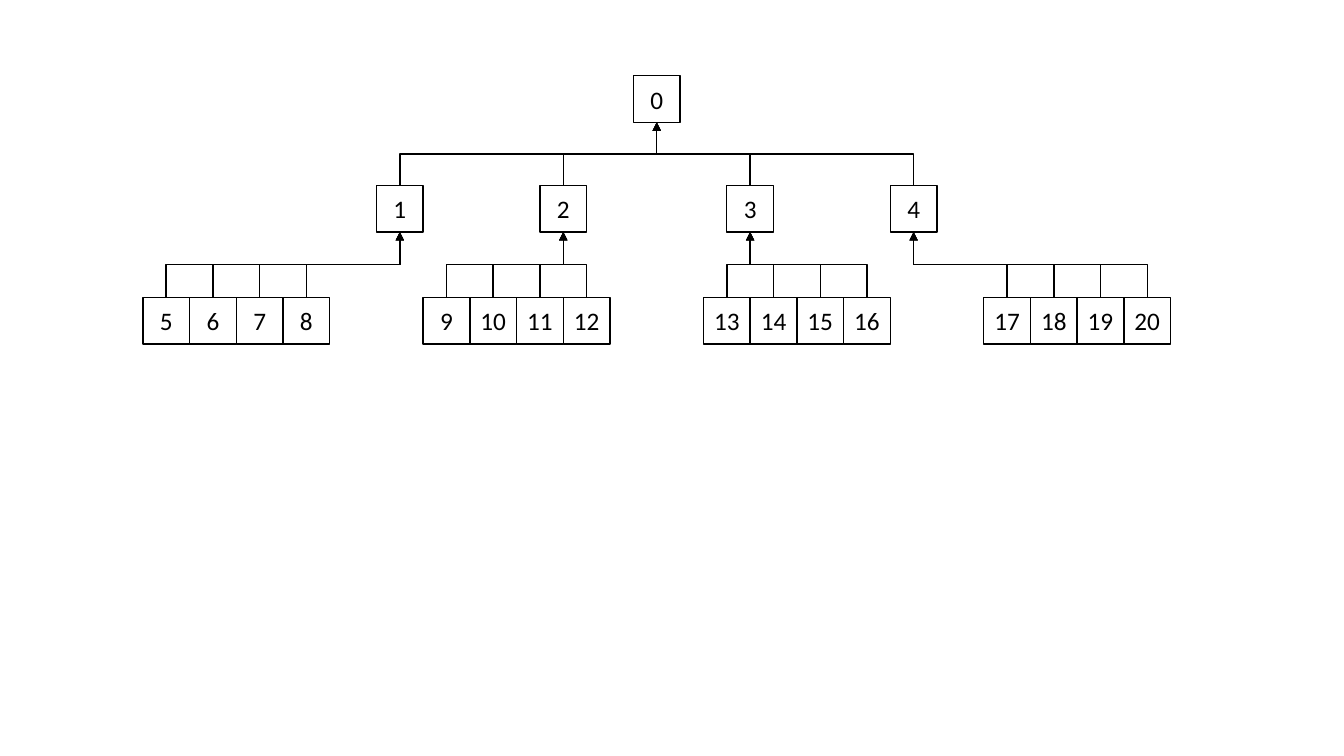
from pptx import Presentation
from pptx.dml.color import RGBColor
from pptx.enum.shapes import MSO_CONNECTOR, MSO_SHAPE
from pptx.enum.text import MSO_ANCHOR, PP_ALIGN
from pptx.oxml.ns import qn
from pptx.util import Cm, Pt
from lxml import etree

COLOURS = {"ink": "000000", "paper": "FFFFFF"}
ROOT_COLUMN = 10.5
BRANCH_COLUMNS = [5, 8.5, 12.5, 16]
LEAVES_PER_BRANCH = 4
GROUP_STEP = 6
COLUMNS = 22
TOP_SITE, BOTTOM_SITE = 0, 2


def colour(name):
    return RGBColor.from_string(COLOURS[name])


def style_line(shape):
    shape.line.color.rgb = colour("ink")
    shape.line.width = Pt(1)


def draw_node(slide, number, left, top, side):
    node = slide.shapes.add_shape(MSO_SHAPE.RECTANGLE, left, top, side, side)
    node.name = f"Node {number}"
    node.shadow.inherit = False
    node.fill.solid()
    node.fill.fore_color.rgb = colour("paper")
    style_line(node)
    frame = node.text_frame
    frame.margin_left = frame.margin_right = frame.margin_top = frame.margin_bottom = 0
    frame.vertical_anchor = MSO_ANCHOR.MIDDLE
    paragraph = frame.paragraphs[0]
    paragraph.alignment = PP_ALIGN.CENTER
    run = paragraph.add_run()
    run.text = str(number)
    run.font.name = "Calibri"
    run.font.size = Pt(18)
    run.font.color.rgb = colour("ink")
    return node


def link_to_parent(slide, child, parent):
    start_x, start_y = child.left + child.width // 2, child.top
    end_x, end_y = parent.left + parent.width // 2, parent.top + parent.height
    link = slide.shapes.add_connector(MSO_CONNECTOR.ELBOW, start_x, start_y, end_x, end_y)
    link.begin_connect(child, TOP_SITE)
    link.end_connect(parent, BOTTOM_SITE)

    rise, run = start_y - end_y, abs(end_x - start_x)
    link.left = (start_x + end_x - rise) // 2
    link.top = (start_y + end_y - run) // 2
    link.width, link.height = rise, run
    from_left = start_x < end_x
    properties = link._element.spPr
    transform = properties.find(qn("a:xfrm"))
    transform.set("rot", str((90 if from_left else 270) * 60000))
    transform.set("flipH", "1" if from_left else "0")
    transform.set("flipV", "1")

    style_line(link)
    outline = properties.find(qn("a:ln"))
    etree.SubElement(outline, qn("a:tailEnd"), type="triangle")
    etree.SubElement(properties, qn("a:effectLst"))


def draw_tree(slide, left, top, width, height):
    side = width / COLUMNS
    leaf_top = top + height - side
    branch_top = top + (leaf_top - top) * 0.495

    def node_at(number, column, row_top):
        return draw_node(slide, number, round(left + column * side), round(row_top), round(side))

    root = node_at(0, ROOT_COLUMN, top)
    branches = [node_at(i, column, branch_top) for i, column in enumerate(BRANCH_COLUMNS, 1)]
    pairs = [(branch, root) for branch in branches]
    number = len(branches) + 1
    for group, branch in enumerate(branches):
        for position in range(LEAVES_PER_BRANCH):
            leaf = node_at(number, group * GROUP_STEP + position, leaf_top)
            pairs.append((leaf, branch))
            number += 1
    for child, parent in pairs:
        link_to_parent(slide, child, parent)


deck = Presentation()
deck.slide_width, deck.slide_height = Cm(33.87), Cm(19.05)
tree_slide = deck.slides.add_slide(deck.slide_layouts[6])
draw_tree(tree_slide, Cm(3.6), Cm(1.91), Cm(25.9), Cm(6.76))
deck.save("out.pptx")
